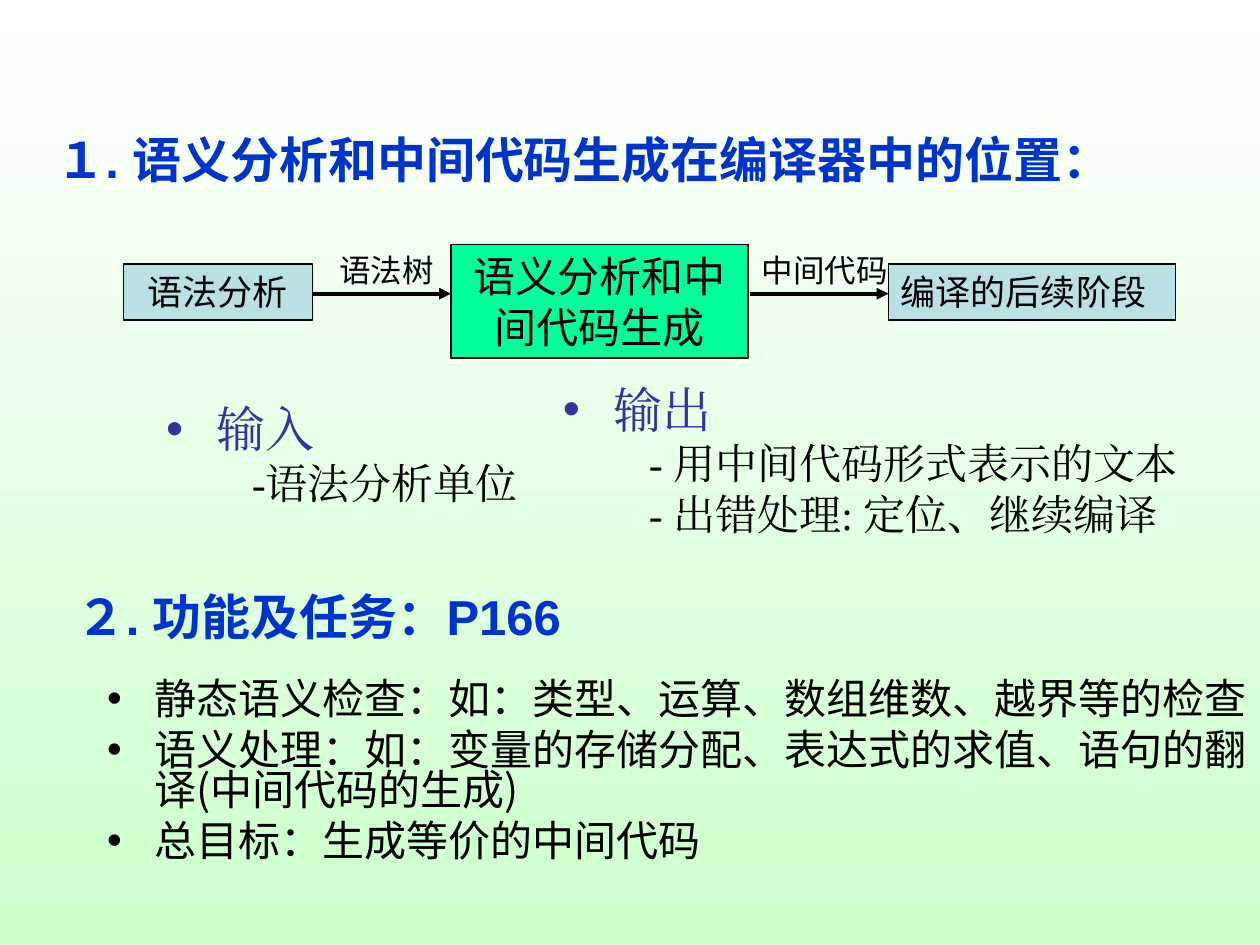
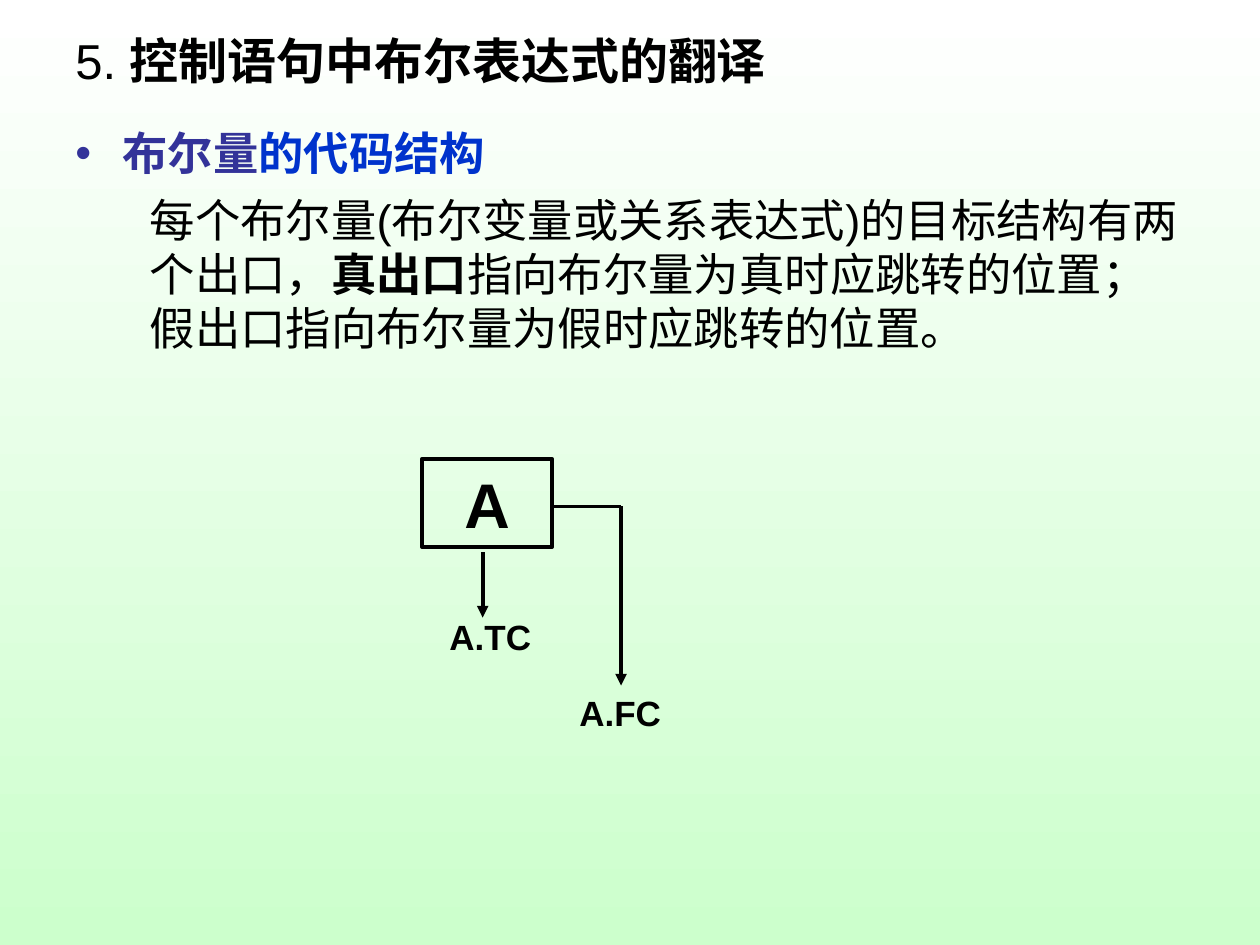
"""Build two slides on semantic analysis and the translation of Boolean expressions."""

from lxml.etree import SubElement
from pptx import Presentation
from pptx.dml.color import RGBColor
from pptx.enum.lang import MSO_LANGUAGE_ID
from pptx.enum.shapes import MSO_CONNECTOR, MSO_SHAPE
from pptx.enum.text import MSO_ANCHOR, PP_ALIGN
from pptx.oxml.ns import qn
from pptx.util import Cm, Pt

BLACK = RGBColor(0x00, 0x00, 0x00)
WHITE = RGBColor(0xFF, 0xFF, 0xFF)
PALE_GREEN = RGBColor(0xCC, 0xFF, 0xCC)
BRIGHT_GREEN = RGBColor(0x00, 0xFF, 0x99)
PALE_BLUE = RGBColor(0xBB, 0xE0, 0xE3)
BLUE = RGBColor(0x00, 0x33, 0xCC)
INDIGO = RGBColor(0x33, 0x33, 0x99)

SANS = "Arial"
SERIF = "Times New Roman"
CHINESE = "Noto Sans CJK SC"
LINE_PITCH = 1.2


class SlideBuilder:
    """Hold the shared style and the current slide."""

    def __init__(self, deck):
        """Start with an empty deck."""
        self.deck = deck
        self.slide = None

    def add_slide(self):
        """Start a blank slide with the shared gradient."""
        self.slide = self.deck.slides.add_slide(self.deck.slide_layouts[6])
        fill = self.slide.background.fill
        fill.gradient()
        fill.gradient_angle = 270
        for stop, color, position in zip(fill.gradient_stops, (WHITE, PALE_GREEN), (0, 1)):
            stop.color.rgb = color
            stop.position = position

    def text_box(self, left, top, width, height, anchor=MSO_ANCHOR.TOP):
        """Add an empty wrapping text box and return its frame."""
        box = self.slide.shapes.add_textbox(Cm(left), Cm(top), Cm(width), Cm(height))
        frame = box.text_frame
        frame.word_wrap = True
        frame.vertical_anchor = anchor
        return frame

    def paragraph(self, frame, spans, size, font=SANS, color=BLACK, bold=False,
                  bullet=None, margin=0, hanging=0, spacing=1, before=0,
                  align=PP_ALIGN.LEFT):
        """Write a string, or (text, overrides) spans, as the next paragraph."""
        is_first = not frame.paragraphs[0].runs
        para = frame.paragraphs[0] if is_first else frame.add_paragraph()
        properties = para._p.get_or_add_pPr()
        properties.set("marL", str(Cm(margin)))
        properties.set("indent", str(-Cm(hanging)))
        if bullet is not None:
            bullet_color = SubElement(properties, qn("a:buClr"))
            SubElement(bullet_color, qn("a:srgbClr"), val=str(bullet))
            SubElement(properties, qn("a:buFont"), typeface=SANS)
            SubElement(properties, qn("a:buChar"), char="•")
        para.alignment = align
        para.line_spacing = Pt(size * LINE_PITCH * spacing)
        para.space_before = Pt(0 if is_first else before)
        style = {"font": font, "color": color, "bold": bold}
        for text, overrides in [(spans, {})] if isinstance(spans, str) else spans:
            span = para.add_run()
            span.text = text
            self.format_span(span, size, **{**style, **overrides})

    def format_span(self, span, size, font, color, bold):
        """Set the font of one run, for Latin and Chinese letters alike."""
        span.font.name = font
        SubElement(span._r.get_or_add_rPr(), qn("a:ea"), typeface=font)
        span.font.language_id = MSO_LANGUAGE_ID.SIMPLIFIED_CHINESE
        span.font.size = Pt(size)
        span.font.bold = bold
        span.font.color.rgb = color

    def title(self, spans, left, top, width, height, **style):
        """Add a heading centred vertically in its box."""
        frame = self.text_box(left, top, width, height, MSO_ANCHOR.MIDDLE)
        self.paragraph(frame, spans, 28, **style)

    def label(self, text, left, top, width, height, size, **style):
        """Add a short one-paragraph caption."""
        self.paragraph(self.text_box(left, top, width, height), text, size, **style)

    def block(self, text, left, top, width, height, size, fill=None, line=1,
              align=PP_ALIGN.CENTER, bold=False):
        """Add an outlined rectangle with text."""
        shape = self.slide.shapes.add_shape(
            MSO_SHAPE.RECTANGLE, Cm(left), Cm(top), Cm(width), Cm(height))
        shape.shadow.inherit = False
        if fill is None:
            shape.fill.background()
        else:
            shape.fill.solid()
            shape.fill.fore_color.rgb = fill
        shape.line.color.rgb = BLACK
        shape.line.width = Pt(line)
        shape.text_frame.vertical_anchor = MSO_ANCHOR.TOP
        self.paragraph(shape.text_frame, text, size, align=align, bold=bold)

    def line(self, start, end, arrow=True):
        """Add a straight line, with an arrowhead at its end if asked."""
        connector = self.slide.shapes.add_connector(
            MSO_CONNECTOR.STRAIGHT, *(Cm(value) for value in (*start, *end)))
        connector.line.color.rgb = BLACK
        connector.line.width = Pt(2.25)
        if arrow:
            SubElement(connector.line._get_or_add_ln(), qn("a:tailEnd"), type="triangle")
        SubElement(connector._element.spPr, qn("a:effectLst"))


def build_position_slide(builder):
    """Show the place and tasks of semantic analysis in a compiler."""
    builder.add_slide()
    heading = {"color": BLUE, "bold": True}
    builder.title("１. 语义分析和中间代码生成在编译器中的位置：", 0.89, 2.13, 22.86, 2.16, **heading)
    builder.title("２. 功能及任务：P166", 1.3, 11.33, 18.39, 2.16, **heading)

    builder.block("语法分析", 2.49, 5.33, 3.81, 1.12, 20, PALE_BLUE)
    builder.block("语义分析和中间代码生成", 9.09, 4.93, 5.99, 2.29, 24, BRIGHT_GREEN)
    builder.block("编译的后续阶段", 17.91, 5.33, 5.79, 1.12, 20, PALE_BLUE, align=PP_ALIGN.LEFT)
    for start, end in ((6.3, 9.09), (15.11, 17.91)):
        builder.line((start, 5.92), (end, 5.92))
    builder.label("语法树", 6.5, 4.93, 2.59, 1.02, 18, align=PP_ALIGN.CENTER)
    builder.label("中间代码", 15.11, 4.93, 3.2, 1.02, 18)

    flows = (
        ("输入", ("-语法分析单位",), (3.1, 7.92, 8.41, 2.46)),
        ("输出", ("- 用中间代码形式表示的文本", "- 出错处理: 定位、继续编译"),
         (11.1, 7.52, 13.61, 3.48)),
    )
    for name, details, place in flows:
        frame = builder.text_box(*place)
        builder.paragraph(frame, name, 28, SERIF, INDIGO, bullet=INDIGO, margin=1.02, hanging=1.02)
        for detail in details:
            builder.paragraph(frame, detail, 24, SERIF, margin=1.73)

    tasks = builder.text_box(1.91, 13.64, 23.49, 5.38)
    tasks.margin_right = Cm(0.2)
    for task in (
        "静态语义检查：如：类型、运算、数组维数、越界等的检查",
        "语义处理：如：变量的存储分配、表达式的求值、语句的翻译(中间代码的生成)",
        "总目标：生成等价的中间代码",
    ):
        builder.paragraph(tasks, task, 24, CHINESE, bullet=BLACK, margin=0.95,
                          hanging=0.95, spacing=0.8, before=6)


def build_boolean_slide(builder):
    """Show the two exits of a Boolean value."""
    builder.add_slide()
    builder.title([("5. ", {}), ("控制语句中布尔表达式的翻译", {"bold": True})],
                  1.27, 0.53, 22.86, 1.37)

    frame = builder.text_box(1.27, 2.51, 22.86, 5.61)
    builder.paragraph(
        frame,
        [("布尔量", {"font": CHINESE, "color": INDIGO}), ("的代码结构", {"color": BLUE})],
        25.9, bold=True, bullet=INDIGO, margin=0.95, hanging=0.95, spacing=0.9)
    builder.paragraph(
        frame,
        [("每个布尔量(布尔变量或关系表达式)的目标结构有两个出口，", {}),
         ("真出口", {"bold": True}),
         ("指向布尔量为真时应跳转的位置；假出口指向布尔量为假时应跳转的位置。", {})],
        25.9, margin=1.5, before=7)

    builder.block("A", 8.51, 9.25, 2.62, 1.78, 36, line=2.25, bold=True)
    corner = (12.52, 10.21)
    builder.line((11.13, 10.21), corner, arrow=False)
    builder.line(corner, (12.52, 13.82))
    builder.line((9.73, 11.13), (9.73, 12.45))
    for text, left, top in (("A.TC", 8.81, 12.29), ("A.FC", 11.43, 13.82)):
        builder.label(text, left, top, 2.16, 1.12, 20, bold=True)


def main():
    """Build and save the deck."""
    deck = Presentation()
    deck.slide_width = Cm(25.4)
    deck.slide_height = Cm(19.05)
    builder = SlideBuilder(deck)
    build_position_slide(builder)
    build_boolean_slide(builder)
    deck.save("out.pptx")


if __name__ == "__main__":
    main()
